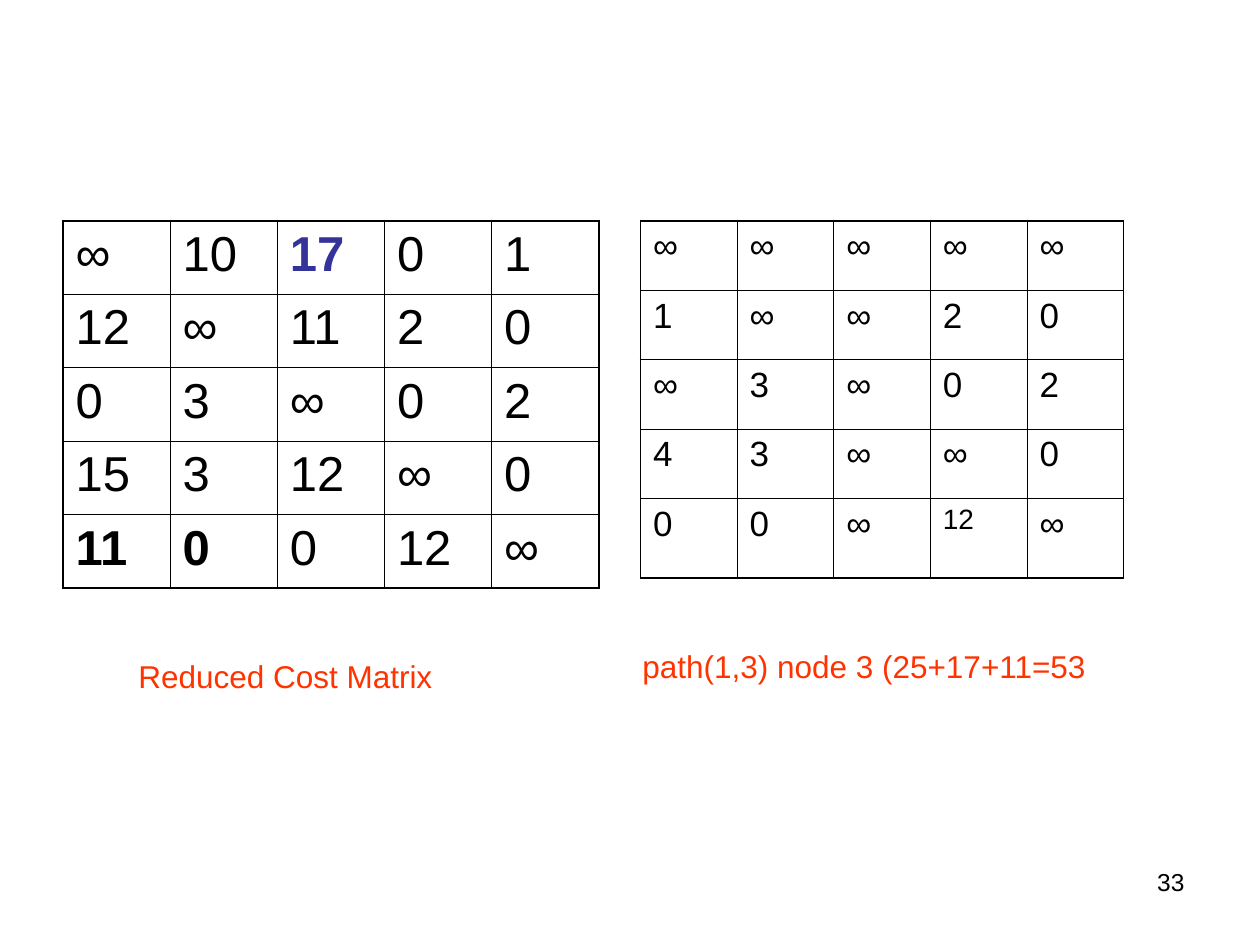
from dataclasses import dataclass

from lxml import etree
from pptx import Presentation, util as u
from pptx.dml.color import RGBColor
from pptx.enum import text
from pptx.oxml.ns import qn


@dataclass(frozen=True)
class Theme:
    face: str = "Arial"
    ink: str = "000000"
    mark: str = "333399"
    label: str = "FF3300"
    big: float = 28
    mid: float = 20
    note: float = 18
    small: float = 16
    page: float = 14
    thick: float = 1.08
    thin: float = 0.45


THEME = Theme()

COST = ["∞ 10 17 0 1", "12 ∞ 11 2 0", "0 3 ∞ 0 2", "15 3 12 ∞ 0", "11 0 0 12 ∞"]
NODE = ["∞ ∞ ∞ ∞ ∞", "1 ∞ ∞ 2 0", "∞ 3 ∞ 0 2", "4 3 ∞ ∞ 0", "0 0 ∞ 12 ∞"]


def write(para, words, size, color=THEME.ink, bold=False):
    """Put one formatted run in a paragraph."""
    run = para.add_run()
    run.text = words
    form = {"name": THEME.face, "size": u.Pt(size), "bold": bold}
    for key, value in form.items():
        setattr(run.font, key, value)
    run.font.color.rgb = RGBColor.from_string(color)


def add_text(slide, box, words, size, color=THEME.ink, wrap=False,
             align=text.PP_ALIGN.LEFT):
    frame = slide.shapes.add_textbox(*map(u.Cm, box)).text_frame
    fit = text.MSO_AUTO_SIZE
    form = {"word_wrap": wrap,
            "auto_size": fit.NONE if wrap else fit.SHAPE_TO_FIT_TEXT}
    for key, value in form.items():
        setattr(frame, key, value)
    para = frame.paragraphs[0]
    para.alignment = align
    write(para, words, size, color)


def add_edge(cell, side, width):
    """Draw one border of a cell."""
    line = etree.SubElement(cell._tc.get_or_add_tcPr(), qn(f"a:ln{side}"),
                            w=str(u.Pt(width)))
    fill = etree.SubElement(line, qn("a:solidFill"))
    etree.SubElement(fill, qn("a:srgbClr"), val=THEME.ink)


def add_matrix(slide, left, top, wide, highs, data, size, special):
    """Add a number grid; special maps (row, column) to text formats."""
    rows = [line.split() for line in data]
    last_row, last_col = len(rows) - 1, len(rows[0]) - 1
    grid = slide.shapes.add_table(
        len(rows), len(rows[0]), u.Cm(left), u.Cm(top),
        u.Cm(wide), u.Cm(sum(highs))).table
    for key in ("first_row", "horz_banding"):
        setattr(grid, key, False)
    for col in grid.columns:
        col.width = u.Cm(wide / len(rows[0]))
    for i, row in enumerate(rows):
        grid.rows[i].height = u.Cm(highs[i])
        for j, words in enumerate(row):
            cell = grid.cell(i, j)
            form = {"size": size, **special.get((i, j), {})}
            write(cell.text_frame.paragraphs[0], words, **form)
            # Outer edges are heavier than inner ones
            outer = {"L": j == 0, "R": j == last_col,
                     "T": i == 0, "B": i == last_row}
            for side, edge in outer.items():
                add_edge(cell, side, THEME.thick if edge else THEME.thin)
            cell.fill.background()


def main():
    deck = Presentation()
    deck.slide_width, deck.slide_height = u.Cm(25.4), u.Cm(19.05)
    slide = deck.slides.add_slide(deck.slide_layouts[6])

    # Page number
    add_text(slide, (18.2, 17.35, 5.93, 1.32), "33", THEME.page,
             wrap=True, align=text.PP_ALIGN.RIGHT)

    # Reduced cost matrix
    bold = {"bold": True}
    add_matrix(slide, 1.27, 4.45, 10.8, [1.48] * 5, COST, THEME.big,
               {(0, 2): {"color": THEME.mark, **bold},
                (4, 0): bold, (4, 1): bold})
    add_text(slide, (2.54, 13.12, 6.43, 1.02), "Reduced Cost Matrix",
             THEME.note, THEME.label)

    # Matrix for node 3
    add_matrix(slide, 12.91, 4.45, 9.74, [1.4] * 4 + [1.6], NODE, THEME.mid,
               {(4, 3): {"size": THEME.small}})
    add_text(slide, (12.7, 12.91, 9.5, 1.02), "path(1,3) node 3 (25+17+11=53",
             THEME.note, THEME.label)

    deck.save("out.pptx")


if __name__ == "__main__":
    main()
